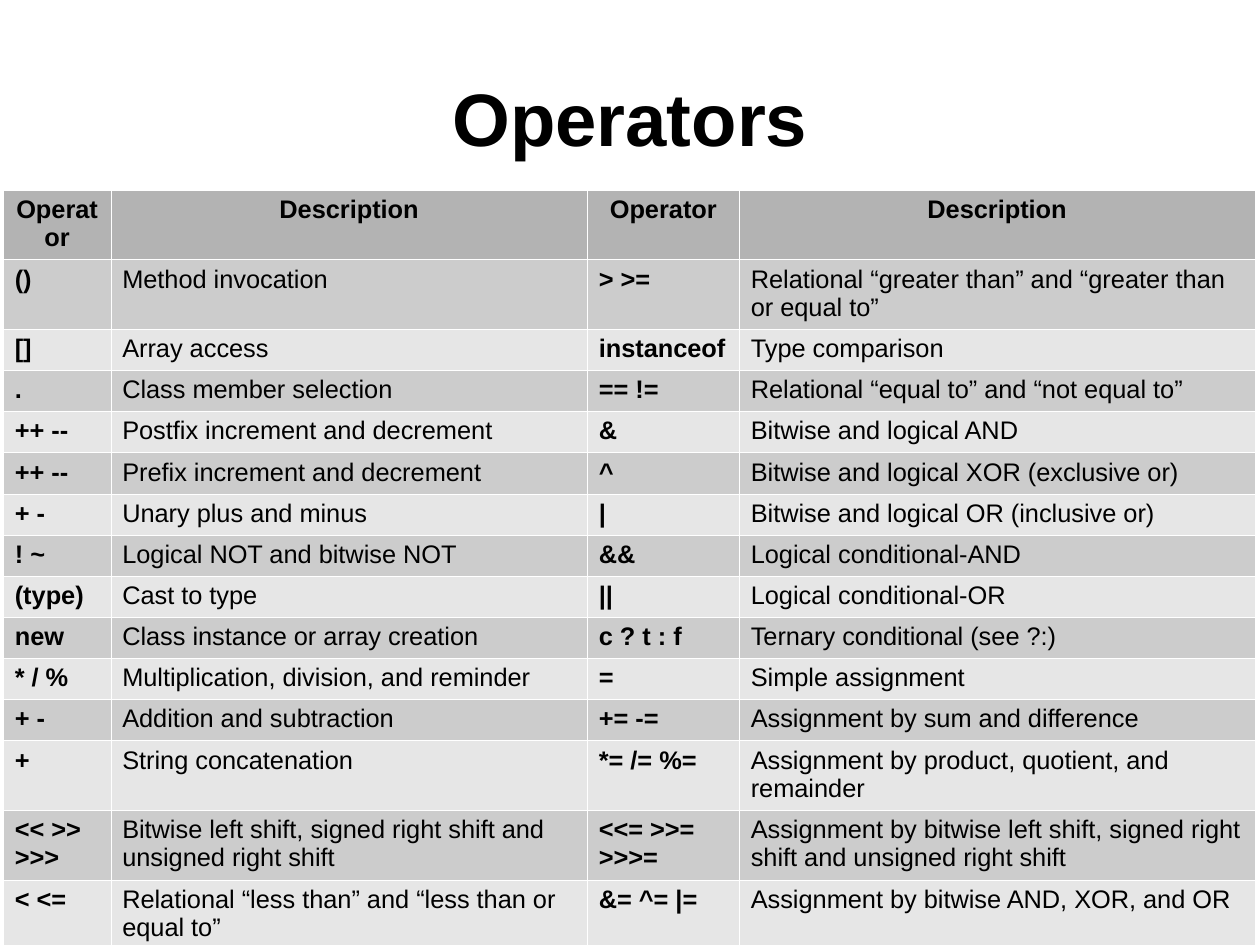
from lxml.etree import SubElement
from pptx import Presentation
from pptx.dml.color import RGBColor
from pptx.enum.text import MSO_ANCHOR, PP_ALIGN
from pptx.oxml.ns import qn
from pptx.util import Emu, Inches, Pt

TITLE = "Operators"
HEAD = ("Operator", "Description") * 2
ROWS = [
    ("()", "Method invocation",
     "> >=", "Relational “greater than” and “greater than or equal to”"),
    ("[]", "Array access", "instanceof", "Type comparison"),
    (".", "Class member selection",
     "== !=", "Relational “equal to” and “not equal to”"),
    ("++ --", "Postfix increment and decrement",
     "&", "Bitwise and logical AND"),
    ("++ --", "Prefix increment and decrement",
     "^", "Bitwise and logical XOR (exclusive or)"),
    ("+ -", "Unary plus and minus",
     "|", "Bitwise and logical OR (inclusive or)"),
    ("! ~", "Logical NOT and bitwise NOT", "&&", "Logical conditional-AND"),
    ("(type)", "Cast to type", "||", "Logical conditional-OR"),
    ("new", "Class instance or array creation",
     "c ? t : f", "Ternary conditional (see ?:)"),
    ("* / %", "Multiplication, division, and reminder",
     "=", "Simple assignment"),
    ("+ -", "Addition and subtraction",
     "+= -=", "Assignment by sum and difference"),
    ("+", "String concatenation",
     "*= /= %=", "Assignment by product, quotient, and remainder"),
    ("<< >> >>>",
     "Bitwise left shift, signed right shift and unsigned right shift",
     "<<= >>= >>>=",
     "Assignment by bitwise left shift, signed right shift and unsigned "
     "right shift"),
    ("< <=", "Relational “less than” and “less than or equal to”",
     "&= ^= |=", "Assignment by bitwise AND, XOR, and OR"),
]

WIDE, HIGH = Emu(10080625), Emu(7559675)
COLS = (0.94, 4.17, 1.33, 4.51)
LOW, TALL = 0.36, 0.61
TWO_LINE = {0, 1, 12, 13, 14}
GREY, BANDS, WHITE = "B3B3B3", ("E6E6E6", "CCCCCC"), "FFFFFF"


def color(code):
    return RGBColor.from_string(code)


def write(frame, text, size=16, bold=False, align=PP_ALIGN.LEFT):
    par = frame.paragraphs[0]
    par.alignment = align
    run = par.add_run()
    run.text = text
    font = run.font
    font.name, font.size, font.bold = "Arial", Pt(size), bold
    font.color.rgb = color("000000")


def border(cell, code, width):
    """Rule all four sides; call before the fill is set, as XML order asks."""
    props = cell._tc.get_or_add_tcPr()
    for side in ("lnL", "lnR", "lnT", "lnB"):
        line = SubElement(props, qn("a:" + side), w=str(Pt(width)))
        fill = SubElement(line, qn("a:solidFill"))
        SubElement(fill, qn("a:srgbClr"), val=code)


def add_title(slide):
    title = slide.shapes.title
    title.left, title.top = int(WIDE * 0.05), int(HIGH * 0.04)
    title.width, title.height = int(WIDE * 0.9), int(HIGH / 6)
    frame = title.text_frame
    frame.margin_left = frame.margin_right = 0
    frame.margin_top = frame.margin_bottom = 0
    frame.vertical_anchor = MSO_ANCHOR.MIDDLE
    frame.word_wrap = True
    write(frame, TITLE, size=46.8, bold=True, align=PP_ALIGN.CENTER)


def add_grid(slide):
    lines = [HEAD, *ROWS]
    highs = [TALL if r in TWO_LINE else LOW for r in range(len(lines))]
    table = slide.shapes.add_table(
        len(lines), len(COLS), Inches(0.03), Inches(1.66),
        Inches(sum(COLS)), Inches(sum(highs))).table
    for col, width in zip(table.columns, COLS):
        col.width = Inches(width)
    for r, (line, high) in enumerate(zip(lines, highs)):
        table.rows[r].height = Inches(high)
        head = r == 0
        for c, text in enumerate(line):
            cell = table.cell(r, c)
            cell.margin_left = cell.margin_right = Inches(0.1)
            cell.margin_top = cell.margin_bottom = Inches(0.05)
            border(cell, WHITE, 0.06)
            cell.fill.solid()
            cell.fill.fore_color.rgb = color(GREY if head else BANDS[r % 2])
            write(cell.text_frame, text, bold=head or c % 2 == 0,
                  align=PP_ALIGN.CENTER if head else PP_ALIGN.LEFT)


def main():
    deck = Presentation()
    deck.slide_width, deck.slide_height = WIDE, HIGH
    slide = deck.slides.add_slide(deck.slide_layouts[5])
    add_grid(slide)
    add_title(slide)
    deck.save("out.pptx")


if __name__ == "__main__":
    main()
